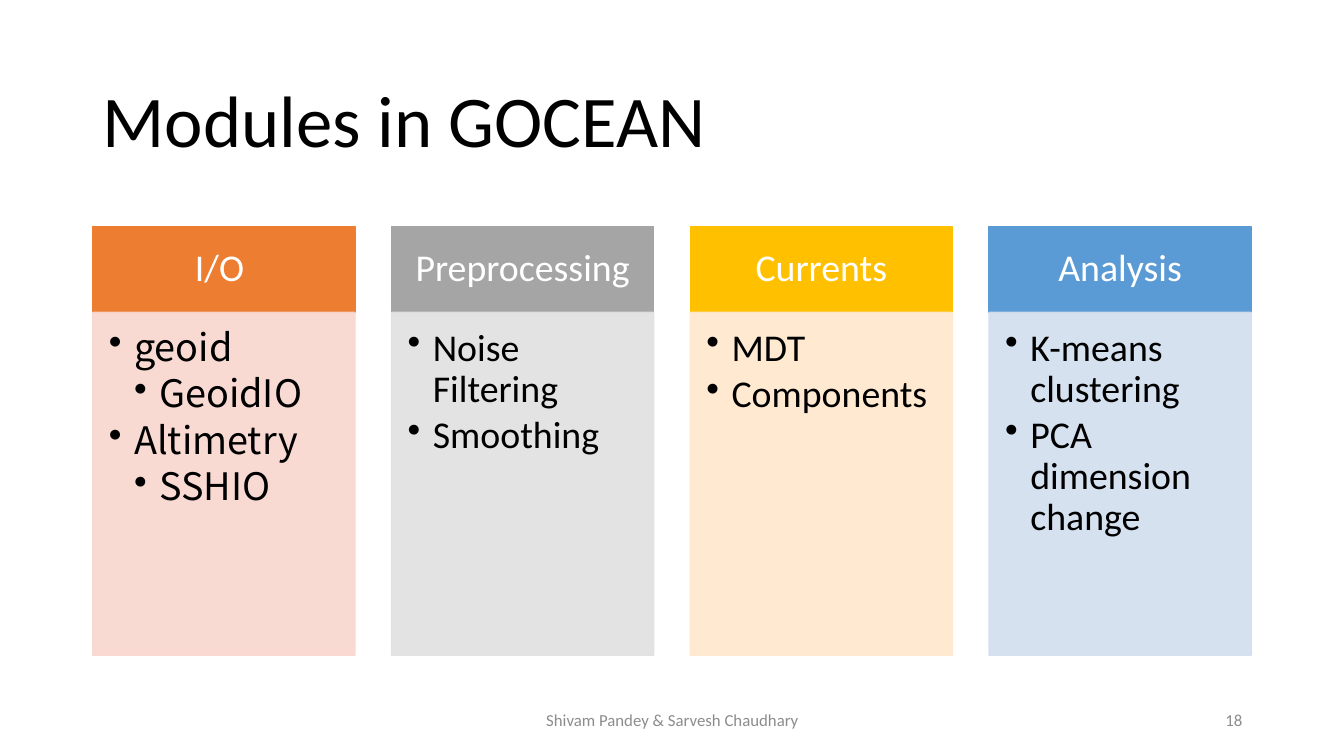
import pptx
import pptx.util
import pptx.dml.color
import pptx.enum.shapes
import pptx.enum.text
import pptx.oxml.ns
from dataclasses import dataclass
from lxml import etree
from pptx.util import Inches

TITLE = "Modules in GOCEAN"
AUTHORS = "Shivam Pandey & Sarvesh Chaudhary"
PAGE = "18"


@dataclass(frozen=True)
class Theme:
    font: str = "Calibri"
    alt_font: str = "Noto Sans CJK JP"
    dark: str = "000000"
    light: str = "FFFFFF"
    muted: str = "8C8C8C"
    title_size: int = 52
    body_size: int = 27
    footer_size: int = 12
    body_alpha: int = 90


T = Theme()

# heading, heading colour, body colour, body font, (level, item) pairs
MODULES = [
    ("I/O ", "ED7D31", "F8D7CE", T.alt_font,
     [(0, "geoid"), (1, "GeoidIO"), (0, "Altimetry"), (1, "SSHIO")]),
    ("Preprocessing", "A5A5A5", "E1E1E1", T.font,
     [(0, "Noise Filtering"), (0, "Smoothing")]),
    ("Currents", "FFC000", "FFE8CC", T.font,
     [(0, "MDT"), (0, "Components")]),
    ("Analysis", "5B9BD5", "D2DEEF", T.font,
     [(0, "K-means clustering"), (0, "PCA dimension change")]),
]

LEFT, LAST_LEFT, COLUMN_W = 0.92, 9.81, 2.6
PITCH = (LAST_LEFT - LEFT) / (len(MODULES) - 1)
HEAD_TOP, HEAD_H, BODY_H = 2.25, 0.85, 3.4
INDENT = 0.25

ALIGN = pptx.enum.text.PP_ALIGN
ANCHOR = pptx.enum.text.MSO_ANCHOR
qn = pptx.oxml.ns.qn


def rgb(color):
    return pptx.dml.color.RGBColor.from_string(color)


def setup_frame(s, anchor, insets=(0.1, 0.05, 0.1, 0.05)):
    tf = s.text_frame
    tf.word_wrap = True
    tf.vertical_anchor = anchor
    tf.margin_left, tf.margin_top, tf.margin_right, tf.margin_bottom = map(Inches, insets)
    return tf


def write(p, text, size, color, align=ALIGN.LEFT, font=T.font):
    p.alignment = align
    p.line_spacing = 0.9
    r = p.add_run()
    r.text = text
    r.font.name = font
    r.font.size = pptx.util.Pt(size)
    r.font.color.rgb = rgb(color)


def add_label(slide, box, text, size, color, align):
    s = slide.shapes.add_textbox(*map(Inches, box))
    tf = setup_frame(s, ANCHOR.MIDDLE)
    write(tf.paragraphs[0], text, size, color, align)


def add_panel(slide, box, color, alpha=100):
    s = slide.shapes.add_shape(pptx.enum.shapes.MSO_SHAPE.RECTANGLE, *map(Inches, box))
    s.shadow.inherit = False
    s.fill.solid()
    s.fill.fore_color.rgb = rgb(color)
    s.line.color.rgb = rgb(color)
    s.line.width = pptx.util.Pt(1)
    if alpha < 100:
        for clr in s.fill._xPr.iter(qn("a:srgbClr")):
            etree.SubElement(clr, qn("a:alpha"), val=str(alpha * 1000))
    return s


def add_bullet(p, level):
    pPr = p._p.get_or_add_pPr()
    pPr.set("marL", str(Inches(INDENT * (level + 1))))
    pPr.set("indent", str(-Inches(INDENT)))
    etree.SubElement(pPr, qn("a:buChar"), char="•")
    p.level = level
    p.space_after = pptx.util.Pt(4)


def add_module(slide, left, heading, head_color, body_color, font, items):
    head = add_panel(slide, (left, HEAD_TOP, COLUMN_W, HEAD_H), head_color)
    tf = setup_frame(head, ANCHOR.MIDDLE, (0.21, 0.12, 0.21, 0.12))
    write(tf.paragraphs[0], heading, T.body_size, T.light, ALIGN.CENTER)

    body = add_panel(slide, (left, HEAD_TOP + HEAD_H, COLUMN_W, BODY_H),
                     body_color, T.body_alpha)
    tf = setup_frame(body, ANCHOR.TOP, (0.16, 0.16, 0.21, 0.24))
    for i, (level, item) in enumerate(items):
        p = tf.add_paragraph() if i else tf.paragraphs[0]
        add_bullet(p, level)
        write(p, item, T.body_size, T.dark, font=font)


def main():
    prs = pptx.Presentation()
    prs.slide_width, prs.slide_height = Inches(13.33), Inches(7.5)
    slide = prs.slides.add_slide(prs.slide_layouts[6])
    add_label(slide, (LEFT, 0.61, 11.5, 1.24), TITLE, T.title_size, T.dark, ALIGN.LEFT)
    for i, module in enumerate(MODULES):
        add_module(slide, LEFT + i * PITCH, *module)
    add_label(slide, (4.42, 6.95, 4.5, 0.4), AUTHORS, T.footer_size, T.muted, ALIGN.CENTER)
    add_label(slide, (9.42, 6.95, 3, 0.4), PAGE, T.footer_size, T.muted, ALIGN.RIGHT)
    prs.save("out.pptx")


if __name__ == "__main__":
    main()
